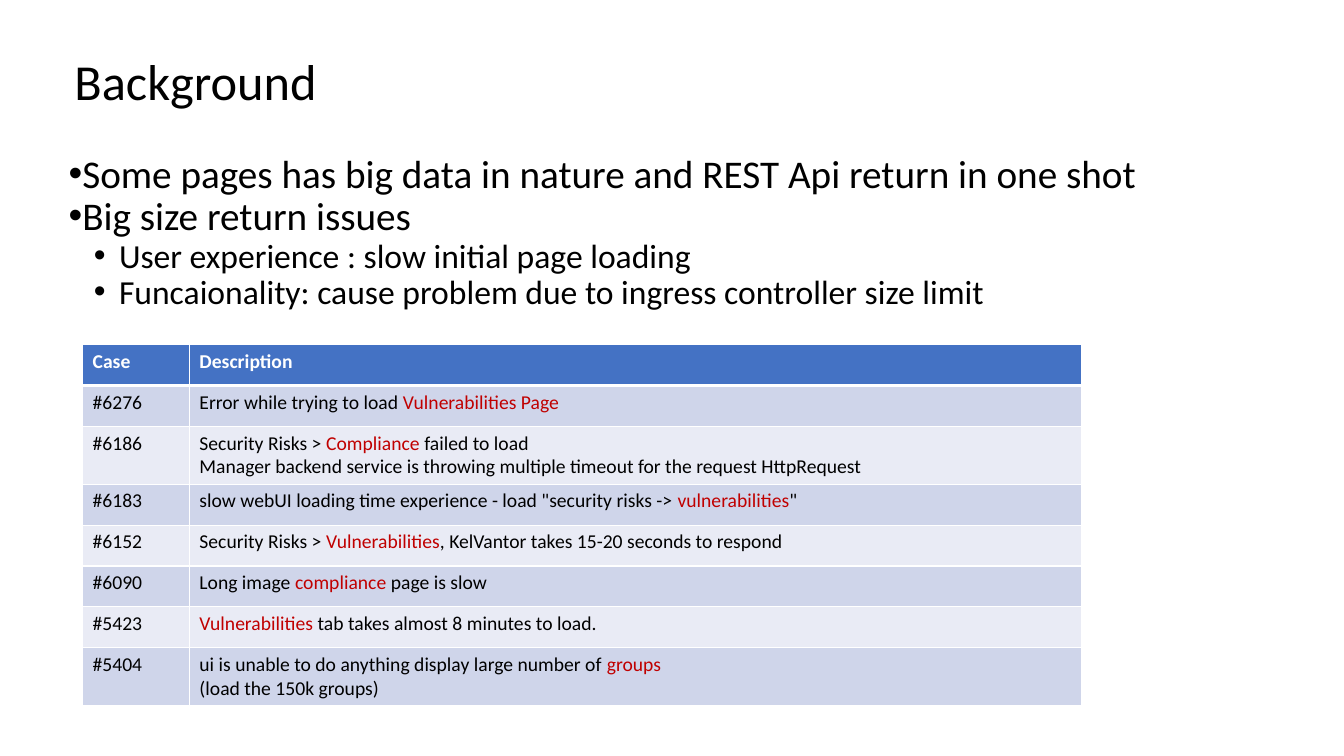
from dataclasses import dataclass

from lxml.etree import SubElement
from pptx import Presentation
from pptx.dml.color import RGBColor
from pptx.enum.text import MSO_ANCHOR, MSO_AUTO_SIZE, PP_ALIGN
from pptx.oxml.ns import qn
from pptx.util import Pt


@dataclass(frozen=True)
class Theme:
    font: str = "Calibri"
    text: str = "000000"
    light: str = "FFFFFF"
    highlight: str = "C00000"
    header: str = "4472C4"
    bands: tuple = ("CFD5EA", "E9EBF5")
    title_size: int = 36
    level_sizes: tuple = (28, 24)
    table_size: int = 14


THEME = Theme()

BULLETS = [
    (0, "Some pages has big data in nature and REST Api return in one shot"),
    (0, "Big size return issues"),
    (1, "User experience : slow initial page loading"),
    (1, "Funcaionality: cause problem due to ingress controller size limit"),
]

# Words between asterisks are highlighted.
CASES = [
    ("Case", "Description"),
    ("#6276", "Error while trying to load *Vulnerabilities Page*"),
    ("#6186", "Security Risks > *Compliance* failed to load\n"
              "Manager backend service is throwing multiple timeout for the request HttpRequest"),
    ("#6183", 'slow webUI loading time experience - load "security risks -> *vulnerabilities*"'),
    ("#6152", "Security Risks > *Vulnerabilities*, KelVantor takes 15-20 seconds to respond"),
    ("#6090", "Long image *compliance* page is slow"),
    ("#5423", "*Vulnerabilities* tab takes almost 8 minutes to load."),
    ("#5404", "ui is unable to do anything display large number of *groups*\n(load the 150k groups)"),
]


def write(paragraph, text, *, size, color=THEME.text, bold=False, spacing=None):
    """Fill a paragraph with runs, colouring the parts between asterisks."""
    paragraph.alignment = PP_ALIGN.LEFT
    paragraph.space_before = Pt(0)
    paragraph.line_spacing = spacing
    for index, part in enumerate(text.split("*")):
        if part:
            run = paragraph.add_run()
            run.text = part
            run.font.name = THEME.font
            run.font.size = Pt(size)
            run.font.bold = bold
            run.font.color.rgb = RGBColor.from_string(THEME.highlight if index % 2 else color)


def place(shape, box):
    shape.left, shape.top, shape.width, shape.height = (Pt(value) for value in box)


def paragraphs_for(frame, count):
    """Return the frame's first paragraph followed by new ones, count in all."""
    return [frame.paragraphs[0]] + [frame.add_paragraph() for _ in range(count - 1)]


def set_bullet(paragraph, margin, indent):
    properties = paragraph._p.get_or_add_pPr()
    properties.set("marL", str(Pt(margin)))
    properties.set("indent", str(Pt(indent)))
    SubElement(properties, qn("a:buFont"), typeface="Arial")
    SubElement(properties, qn("a:buChar"), char="•")


def set_borders(cell, bottom):
    properties = cell._tc.get_or_add_tcPr()
    for side, width in (("L", 1), ("R", 1), ("T", 1), ("B", bottom)):
        line = SubElement(properties, qn(f"a:ln{side}"), w=str(Pt(width)))
        fill = SubElement(line, qn("a:solidFill"))
        SubElement(fill, qn("a:srgbClr"), val=THEME.light)


def add_title(slide, box):
    title = slide.shapes.title
    place(title, box)
    title.text_frame.vertical_anchor = MSO_ANCHOR.MIDDLE
    title.text_frame.auto_size = MSO_AUTO_SIZE.NONE
    write(title.text_frame.paragraphs[0], "Background", size=THEME.title_size, spacing=0.9)


def add_bullets(slide, box):
    body = slide.placeholders[1]
    place(body, box)
    frame = body.text_frame
    frame.vertical_anchor = MSO_ANCHOR.TOP
    frame.auto_size = MSO_AUTO_SIZE.NONE
    for paragraph, (level, text) in zip(paragraphs_for(frame, len(BULLETS)), BULLETS):
        paragraph.level = level
        write(paragraph, text, size=THEME.level_sizes[level], spacing=0.9)
        set_bullet(paragraph, margin=36 * level, indent=-18)


def add_case_table(slide, box, case_width):
    left, top, width, height = (Pt(value) for value in box)
    table = slide.shapes.add_table(len(CASES), 2, left, top, width, height).table
    table.columns[0].width = Pt(case_width)
    table.columns[1].width = width - Pt(case_width)
    for row_index, row in enumerate(CASES):
        is_header = row_index == 0
        fill = THEME.header if is_header else THEME.bands[(row_index - 1) % 2]
        for column_index, text in enumerate(row):
            cell = table.cell(row_index, column_index)
            set_borders(cell, bottom=3 if is_header else 1)
            cell.fill.solid()
            cell.fill.fore_color.rgb = RGBColor.from_string(fill)
            lines = text.split("\n")
            for paragraph, line in zip(paragraphs_for(cell.text_frame, len(lines)), lines):
                write(paragraph, line, size=THEME.table_size, bold=is_header,
                      color=THEME.light if is_header else THEME.text)


def main():
    presentation = Presentation()
    presentation.slide_width, presentation.slide_height = Pt(960), Pt(540)
    slide = presentation.slides.add_slide(presentation.slide_layouts[1])
    add_title(slide, (46, 27.4, 426, 64.8))
    add_case_table(slide, (59, 246.2, 713.5, 233.6), case_width=76.3)
    add_bullets(slide, (41.8, 106.6, 875.5, 139.7))
    presentation.save("out.pptx")


if __name__ == "__main__":
    main()
